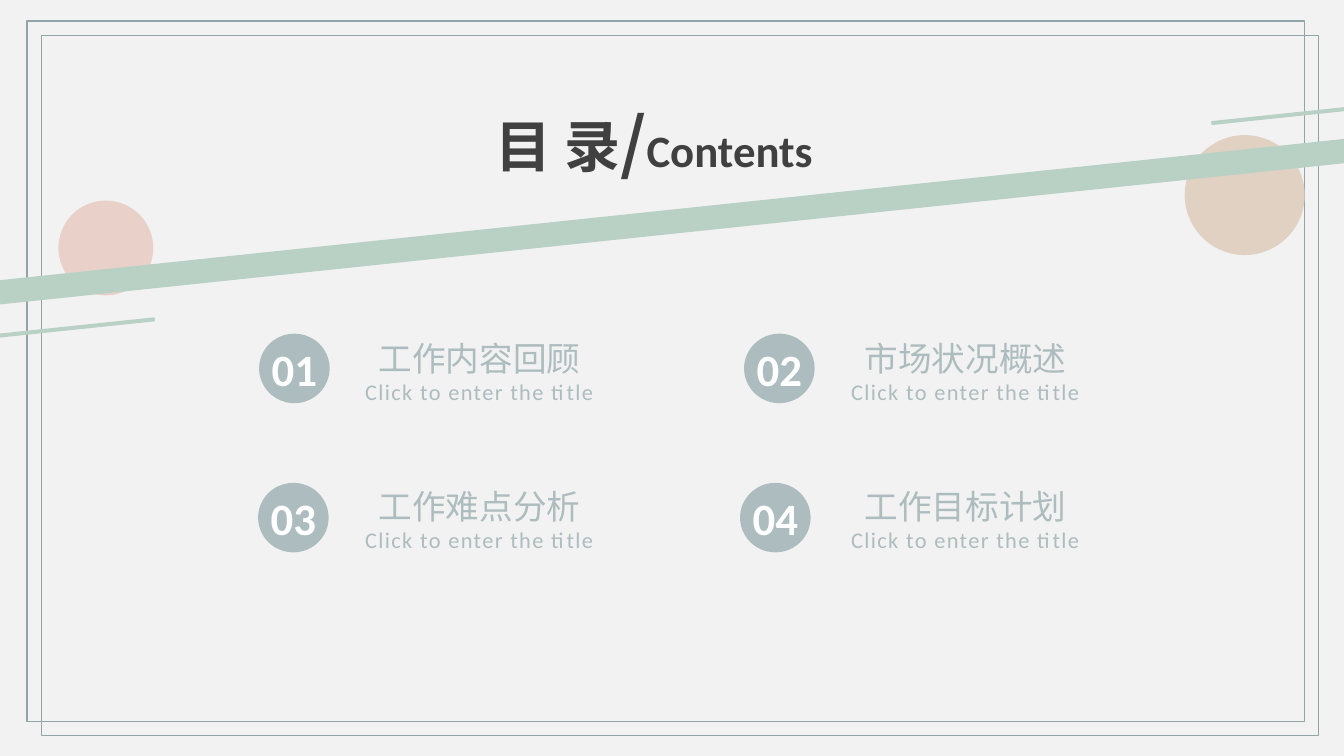
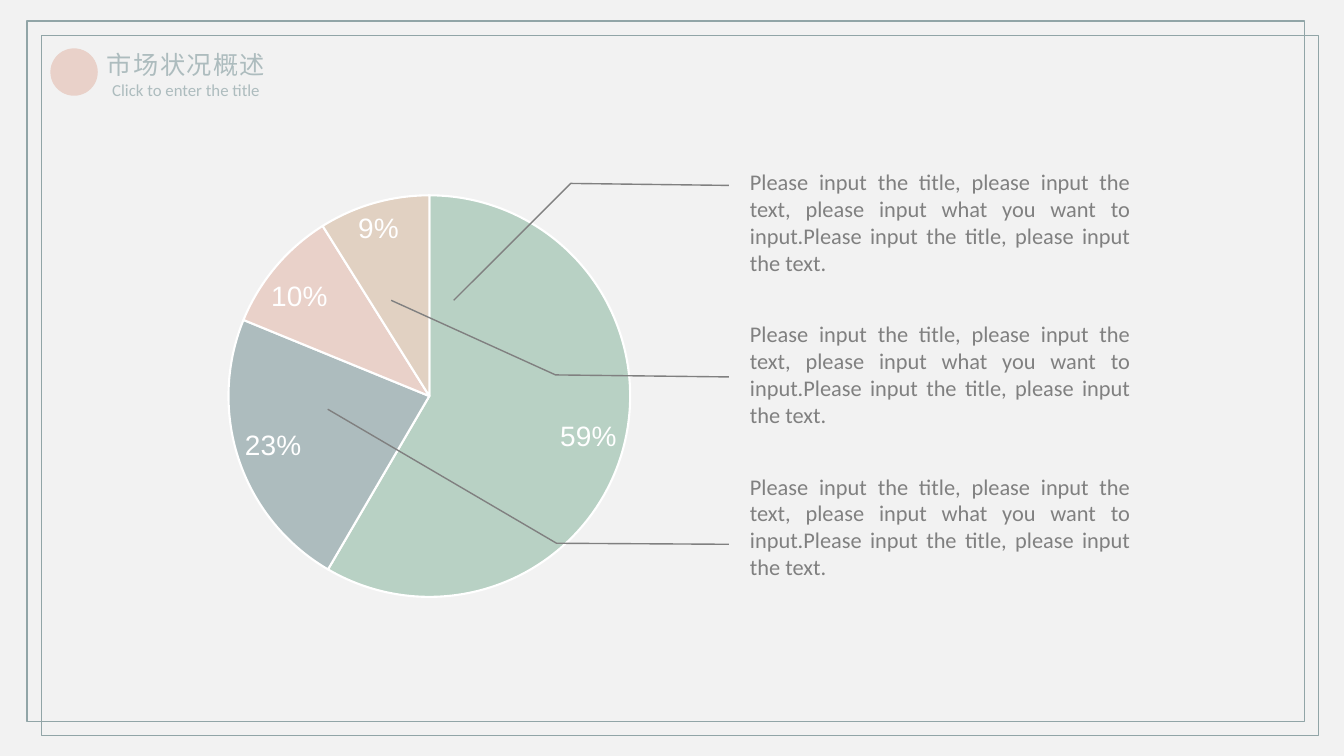
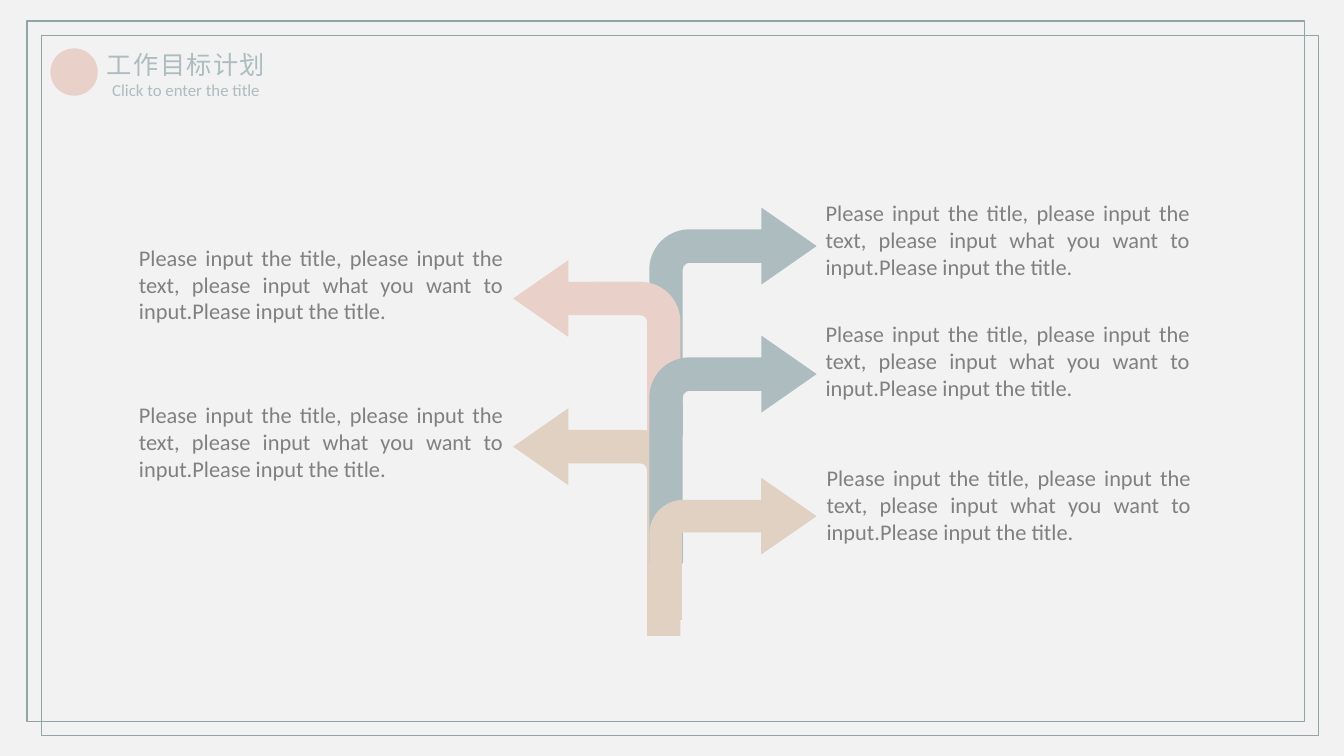
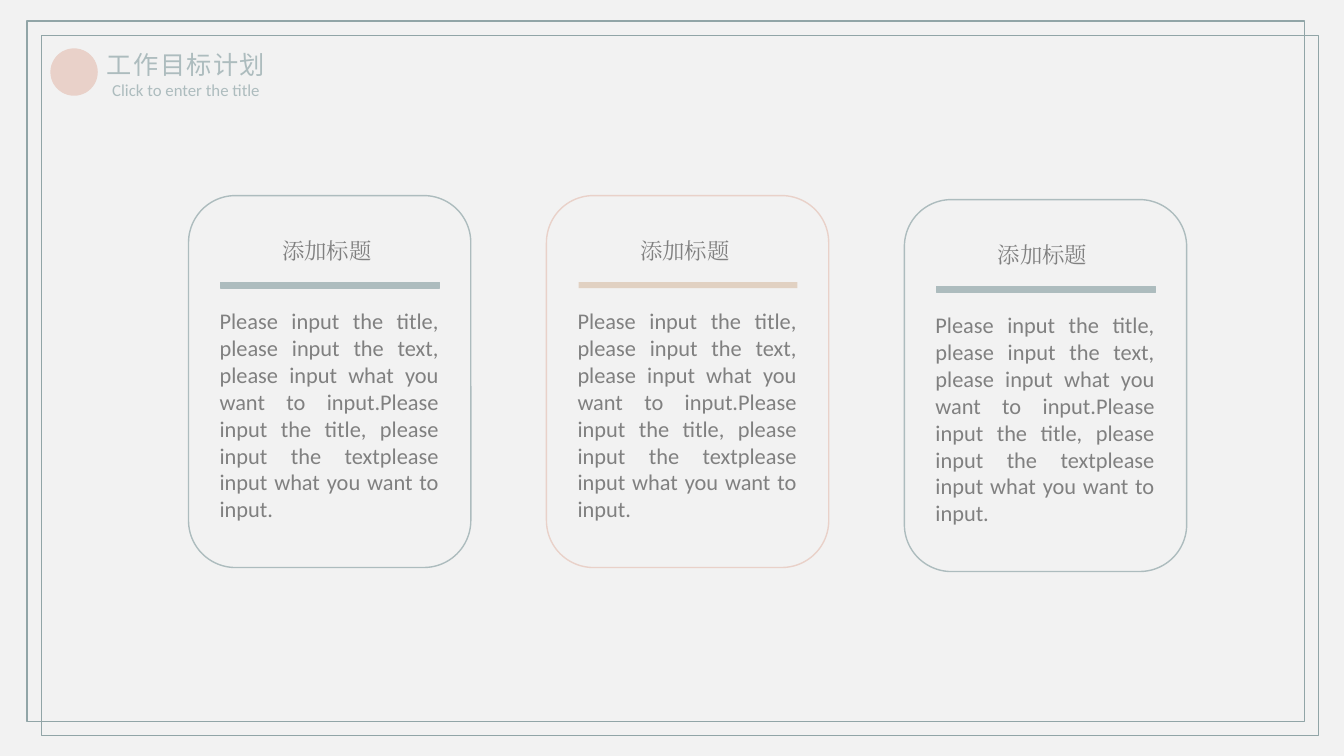
from pptx import Presentation
from pptx.chart.data import CategoryChartData
from pptx.dml.color import RGBColor
from pptx.enum import chart as charts, shapes, text
from pptx.oxml import parse_xml
from pptx.oxml.ns import qn
from pptx.util import Inches, Pt

COLORS = {
    "paper": "F2F2F2", "frame": "91A5A7", "pink": "E9D1C9", "sand": "E1D1C2",
    "green": "B8D1C4", "slate": "ADBCBE", "ink": "404040", "gray": "808080",
    "white": "FFFFFF",
}
CJK, LATIN = "Noto Sans CJK JP", "Calibri"
SHAPE = shapes.MSO_SHAPE
ALIGN = text.PP_ALIGN
DRAWING_NS = "http://schemas.openxmlformats.org/drawingml/2006/main"
CHART_NS = "http://schemas.openxmlformats.org/drawingml/2006/chart"
HINT = "Click to enter the title"
PROMPT = "Please input the title, please input the text, please input what you want to input.Please input the title"


def rgb(name):
    return RGBColor.from_string(COLORS[name])


def add_item(slide, at, kind=None, fill=None, line=None, paragraphs=(), align=ALIGN.LEFT):
    box = [Inches(length) for length in at]
    if kind is None:
        item = slide.shapes.add_textbox(*box)
        item.text_frame.auto_size = text.MSO_AUTO_SIZE.SHAPE_TO_FIT_TEXT
    else:
        item = slide.shapes.add_shape(kind, *box)
        item.shadow.inherit = False
        if fill:
            item.fill.solid()
            item.fill.fore_color.rgb = rgb(fill)
        else:
            item.fill.background()
        if line:
            item.line.color.rgb = rgb(line)
            item.line.width = Pt(1)
        else:
            item.line.fill.background()
    frame = item.text_frame
    frame.word_wrap = True
    for index, runs in enumerate(paragraphs):
        paragraph = frame.add_paragraph() if index else frame.paragraphs[0]
        paragraph.alignment = align
        for words, size, face, color, bold, spacing in runs:
            run = paragraph.add_run()
            run.text = words
            run.font.size = Pt(size)
            run.font.name = face
            run.font.bold = bold
            run.font.color.rgb = rgb(color)
            properties = run.font._element
            if spacing:
                properties.set("spc", str(spacing * 100))
            properties.find(qn("a:latin")).addnext(
                parse_xml(f'<a:ea xmlns:a="{DRAWING_NS}" typeface="{face}"/>'))
    return item


prs = Presentation()
prs.slide_width, prs.slide_height = Inches(13.33), Inches(7.5)
backdrop = prs.slide_master.background.fill
backdrop.solid()
backdrop.fore_color.rgb = rgb("paper")

pages = []
for heading in (None, "市场状况概述", "工作目标计划", "工作目标计划"):
    page = prs.slides.add_slide(prs.slide_layouts[6])
    pages.append(page)
    for left, top in ((0.27, 0.21), (0.41, 0.35)):
        add_item(page, (left, top, 12.67, 6.95), SHAPE.RECTANGLE, line="frame")
    if heading:
        add_item(page, (0.5, 0.48, 0.47, 0.47), SHAPE.OVAL, "pink")
        add_item(page, (0.85, 0.44, 1.99, 0.6), align=ALIGN.CENTER, paragraphs=[
            [(heading, 18, CJK, "slate", False, 1)],
            [(HINT, 12, LATIN, "slate", False, 0)],
        ])
contents, market, goals, cards = pages

add_item(contents, (0.58, 1.99, 0.94, 0.94), SHAPE.OVAL, "pink")
add_item(contents, (11.75, 1.34, 1.19, 1.19), SHAPE.OVAL, "sand")
for at in ((-0.5, 2.08, 14.32, 0.24), (12.01, 1.12, 1.57, 0.04), (-0.03, 3.23, 1.57, 0.04)):
    add_item(contents, at, SHAPE.RECTANGLE, "green").rotation = 354
contents_title = add_item(contents, (4.82, 0.95, 3.85, 0.91), paragraphs=[[
    ("目 录", 40, CJK, "ink", True, 0),
    ("/", 48, "Noto Sans CJK SC", "ink", True, 0),
    ("Contents", 32, LATIN, "ink", True, 0),
]])
for run in contents_title.text_frame.paragraphs[0].runs:
    run.font._element.insert(0, parse_xml(
        f'<a:ln xmlns:a="{DRAWING_NS}" w="9525"><a:solidFill>'
        f'<a:srgbClr val="{COLORS["paper"]}"/></a:solidFill></a:ln>'))

chapters = (
    ("工作内容回顾", 2.57, 3.31, 3.08, 3.3),
    ("市场状况概述", 7.38, 3.31, 7.9, 3.3),
    ("工作难点分析", 2.56, 4.79, 3.08, 4.77),
    ("工作目标计划", 7.34, 4.79, 7.9, 4.77),
)
for number, (chapter, badge_left, badge_top, left, top) in enumerate(chapters, 1):
    badge = add_item(contents, (badge_left, badge_top, 0.7, 0.69), SHAPE.OVAL, "slate",
                     paragraphs=[[(f"{number:02}", 32, LATIN, "white", True, 0)]],
                     align=ALIGN.CENTER)
    frame = badge.text_frame
    frame.margin_left = frame.margin_right = frame.margin_top = frame.margin_bottom = 0
    frame.vertical_anchor = text.MSO_ANCHOR.MIDDLE
    frame.word_wrap = False
    add_item(contents, (left, top, 3.35, 0.77), align=ALIGN.CENTER, paragraphs=[
        [(chapter, 24, CJK, "slate", False, 0)],
        [(HINT, 16, LATIN, "slate", False, 1)],
    ])

shares = CategoryChartData()
shares.categories = ["1", "2", "3", "4"]
shares.add_series("Series 1", (59, 23, 10, 9))
pie = market.shapes.add_chart(charts.XL_CHART_TYPE.PIE, Inches(1.02), Inches(1.48),
                              Inches(6.11), Inches(4.58), shares).chart
pie.has_legend = pie.has_title = False
pie.font.name, pie.font.size = "Arial", Pt(10)
plot = pie.plots[0]
plot.vary_by_categories = True
for index, color in enumerate(("green", "slate", "pink", "sand")):
    wedge = plot.series[0].points[index].format
    wedge.fill.solid()
    wedge.fill.fore_color.rgb = rgb(color)
    wedge.line.color.rgb = rgb("white")
    wedge.line.width = Pt(1.5)
labels = plot.series[0].data_labels
labels.show_value = True
labels.number_format, labels.number_format_is_linked = '0"%"', False
labels.position = charts.XL_LABEL_POSITION.BEST_FIT
labels.font.name, labels.font.size = "Arial", Pt(20)
labels.font.color.rgb = rgb("white")
plot_area = pie._chartSpace.chart.plotArea
for layout in plot_area.findall(qn("c:layout")):
    plot_area.remove(layout)
plot_area.insert(0, parse_xml(
    f'<c:layout xmlns:c="{CHART_NS}"><c:manualLayout><c:layoutTarget val="inner"/>'
    '<c:xMode val="edge"/><c:yMode val="edge"/><c:x val="0.2"/><c:y val="0.1"/>'
    '<c:w val="0.66"/><c:h val="0.87"/></c:manualLayout></c:layout>'))

leaders = (
    (1.62, (4.5, 2.98), (5.66, 1.82), (7.23, 1.84)),
    (3.13, (3.88, 2.98), (5.51, 3.72), (7.23, 3.74)),
    (4.64, (3.25, 4.06), (5.52, 5.39), (7.23, 5.4)),
)
for top, *stops in leaders:
    start, *bends = [(Inches(x), Inches(y)) for x, y in stops]
    builder = market.shapes.build_freeform(*start)
    builder.add_line_segments(bends, close=False)
    leader = builder.convert_to_shape()
    leader.shadow.inherit = False
    leader.fill.background()
    leader.line.color.rgb = rgb("gray")
    leader.line.width = Pt(1)
    add_item(market, (7.34, top, 3.97, 1.18), align=ALIGN.JUSTIFY, paragraphs=[
        [(PROMPT + ", please input the text.", 16, LATIN, "gray", False, 0)]])

branches = (
    (6.44, 2.06, 2.26, "slate", 8.09, 1.93),
    (5.09, 2.58, 2.26, "pink", 1.28, 2.37),
    (5.09, 4.05, 2.26, "sand", 1.28, 3.93),
    (6.44, 3.33, 2.26, "slate", 8.09, 3.13),
    (6.44, 4.74, 1.41, "sand", 8.1, 4.56),
)
for left, top, height, color, text_left, text_top in branches:
    branch = add_item(goals, (left, top, 1.66, height), SHAPE.BENT_ARROW, color)
    bends = (0.2, 0.23, 0.33, 0.24) if height > 2 else (0.23, 0.27, 0.39, 0.24)
    for index, bend in enumerate(bends):
        branch.adjustments[index] = bend
    if text_left < left:
        branch._element.spPr.xfrm.set("flipH", "1")
    add_item(goals, (text_left, text_top, 3.81, 0.91), align=ALIGN.JUSTIFY,
             paragraphs=[[(PROMPT + ".", 16, LATIN, "gray", False, 0)]])

card_styles = ((1.94, "slate", "slate", "slate"), (1.94, "pink", "sand", None),
               (1.98, "slate", "slate", "slate"))
for index, (top, border, bar, bar_line) in enumerate(card_styles):
    left = 1.87 + 3.55 * index
    add_item(cards, (left, top, 2.8, 3.69), SHAPE.ROUNDED_RECTANGLE, line=border)
    add_item(cards, (left + 0.83, top + 0.36, 1.14, 0.37), align=ALIGN.JUSTIFY,
             paragraphs=[[("添加标题", 16, "Times New Roman", "gray", False, 0)]])
    add_item(cards, (left + 0.21, top + 1.06, 2.37, 2.25), align=ALIGN.JUSTIFY, paragraphs=[
        [(PROMPT + ", please input the textplease input what you want to input.",
          16, LATIN, "gray", False, 0)]])
    add_item(cards, (left + 0.32, top + 0.86, 2.17, 0.06), SHAPE.RECTANGLE, bar, bar_line)

prs.save("out.pptx")
